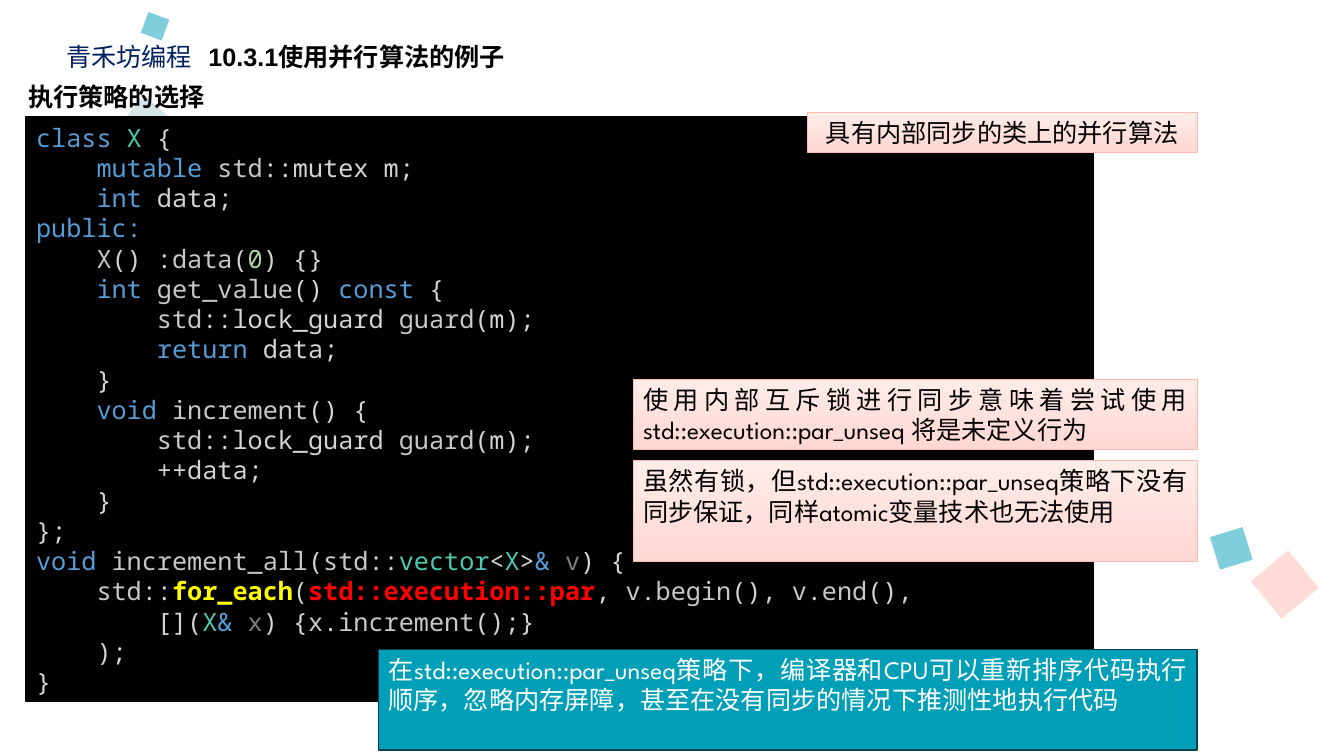
from lxml.etree import SubElement
from pptx import Presentation
from pptx.dml.color import RGBColor
from pptx.enum.shapes import MSO_SHAPE as Shape
from pptx.enum.text import MSO_ANCHOR as Anchor, MSO_AUTO_SIZE as AutoSize, PP_ALIGN as Align
from pptx.oxml.ns import qn
from pptx.util import Cm, Pt

COLORS = {
    "black": "000000", "white": "FFFFFF", "navy": "002060",
    "teal": "009FB8", "dark teal": "00404C", "mist": "AACED2",
    "pink": "FFBBB3", "pink top": "FFECE9", "pink bottom": "FFD7D3",
    "keyword": "569CD6", "type": "4EC9B0", "plain": "D4D4D4", "name": "C8C8C8",
    "number": "B5CEA8", "param": "7F7F7F", "call": "FFFF00", "policy": "FF0000",
}
BOLD_ROLES = ("call", "policy")
HAN_FONT = "Noto Sans CJK JP"

BRAND = "青禾坊编程"
TITLE = "10.3.1使用并行算法的例子"
SUBTITLE = "执行策略的选择"

# Code lines: indent level, then (text, role) spans
LOCK = (2, [("std", "name"), ("::lock_guard ", "plain"), ("guard", "name"), ("(m);", "plain")])
CODE = [
    (0, [("class ", "keyword"), ("X", "type"), (" {", "plain")]),
    (1, [("mutable ", "keyword"), ("std", "name"), ("::mutex m;", "plain")]),
    (1, [("int", "keyword"), (" data;", "plain")]),
    (0, [("public:", "keyword")]),
    (1, [("X", "name"), ("() :", "plain"), ("data", "name"), ("(", "plain"),
         ("0", "number"), (") {}", "plain")]),
    (1, [("int ", "keyword"), ("get_value", "name"), ("() ", "plain"),
         ("const", "keyword"), (" {", "plain")]),
    LOCK,
    (2, [("return", "keyword"), (" data;", "plain")]),
    (1, [("}", "plain")]),
    (1, [("void ", "keyword"), ("increment", "name"), ("() {", "plain")]),
    LOCK,
    (2, [("++data;", "plain")]),
    (1, [("}", "plain")]),
    (0, [("};", "plain")]),
    (0, [("void ", "keyword"), ("increment_all", "name"), ("(", "plain"), ("std", "name"),
         ("::", "plain"), ("vector", "type"), ("<", "plain"), ("X", "type"), (">", "plain"),
         ("& ", "keyword"), ("v", "param"), (") {", "plain")]),
    (1, [("std", "name"), ("::", "plain"), ("for_each", "call"), ("(", "plain"),
         ("std::execution::par", "policy"), (", ", "plain"), ("v", "name"), (".", "plain"),
         ("begin", "name"), ("(), ", "plain"), ("v", "name"), (".", "plain"),
         ("end", "name"), ("(),", "plain")]),
    (2, [("[](", "plain"), ("X", "type"), ("& ", "keyword"), ("x", "param"), (") {", "plain"),
         ("x", "name"), (".", "plain"), ("increment", "name"), ("();}", "plain")]),
    (1, [(");", "plain")]),
    (0, [("}", "plain")]),
]

# Notes: text, top, width, lines of height, style, alignment
NOTES = [
    ("使用内部互斥锁进行同步意味着尝试使用 std::execution::par_unseq 将是未定义行为",
     9.55, 14.22, 2, "pink", Align.JUSTIFY),
    ("虽然有锁，但std::execution::par_unseq策略下没有同步保证，同样atomic变量技术也无法使用",
     11.61, 14.22, 3, "pink", Align.JUSTIFY),
    ("在std::execution::par_unseq策略下，编译器和CPU可以重新排序代码执行顺序，"
     "忽略内存屏障，甚至在没有同步的情况下推测性地执行代码",
     16.36, 20.64, 3, "teal", Align.JUSTIFY),
    ("具有内部同步的类上的并行算法", 2.82, 9.83, 1, "pink", Align.CENTER),
]

# Decorative squares: left, top, side, rotation, colour
SQUARES = [
    (31.78, 14.12, 1.22, 320.6, "pink"),
    (30.61, 13.39, 0.86, 342.8, "teal"),
    (3.28, 2.57, 0.79, 309.8, "mist"),
    (3.63, 0.38, 0.56, 290.5, "teal"),
]
NOTE_RIGHT = 30.18
LINE, PAD = 0.762, 0.254  # line height and total vertical inset, cm


def rgb(name):
    return RGBColor.from_string(COLORS[name])


def height_of(lines):
    return Cm(lines * LINE + PAD)


def add_span(para, text, font, color, bold=False):
    span = para.add_run()
    span.text = text
    span.font.name, span.font.size, span.font.bold = font, Pt(18), bold
    span.font.color.rgb = rgb(color)
    SubElement(span._r.get_or_add_rPr(), qn("a:ea")).set("typeface", HAN_FONT)


def write(box, lines, font, align=Align.LEFT):
    frame = box.text_frame
    frame.word_wrap, frame.auto_size = True, AutoSize.NONE
    frame.vertical_anchor = Anchor.TOP
    frame.margin_left = frame.margin_right = Cm(0.25)
    frame.margin_top = frame.margin_bottom = Cm(PAD / 2)
    for index, spans in enumerate(lines):
        para = frame.add_paragraph() if index else frame.paragraphs[0]
        para.alignment, para.line_spacing = align, Pt(21.6)
        for text, color in spans:
            add_span(para, text, font, color, color in BOLD_ROLES)


def add_box(left, top, width, height, fill, line=None, weight=1):
    box = page.shapes.add_shape(Shape.RECTANGLE, left, top, width, height)
    box.shadow.inherit = False
    box.fill.solid()
    box.fill.fore_color.rgb = rgb(fill)
    if line:
        box.line.color.rgb, box.line.width = rgb(line), Pt(weight)
    else:
        box.line.fill.background()
    return box


deck = Presentation()
deck.slide_width, deck.slide_height = Cm(33.88), Cm(19.05)
page = deck.slides.add_slide(deck.slide_layouts[5])

# Half-transparent squares
for left, top, side, angle, color in SQUARES:
    square = add_box(Cm(left), Cm(top), Cm(side), Cm(side), color)
    square.rotation = angle
    tint = square.fill._xPr.find(qn("a:solidFill"))[0]
    SubElement(tint, qn("a:alpha")).set("val", "50000")

# Headings
title = page.shapes.title
title.left, title.top, title.width, title.height = Cm(5), Cm(0.91), Cm(16.92), height_of(1)
brand = page.shapes.add_textbox(Cm(1.42), Cm(0.91), Cm(3.78), height_of(1))
subtitle = page.shapes.add_textbox(Cm(0.46), Cm(1.93), Cm(16.92), height_of(1))
write(brand, [[(BRAND, "navy")]], HAN_FONT)
for box, text in ((title, TITLE), (subtitle, SUBTITLE)):
    write(box, [[(text, "black")]], "Arial")
    box.text_frame.paragraphs[0].runs[0].font.bold = True

# Code panel
panel = add_box(Cm(0.66), Cm(2.95), Cm(26.9), height_of(len(CODE)), "black", "black")
write(panel, [[(" " * 4 * level, "plain")] * (level > 0) + spans for level, spans in CODE],
      "Noto Sans Mono")

# Notes, all ending at the same right edge
for text, top, width, lines, style, align in NOTES:
    pink = style == "pink"
    note = add_box(Cm(NOTE_RIGHT - width), Cm(top), Cm(width), height_of(lines), style,
                   "pink" if pink else "dark teal", 0.5 if pink else 1)
    if pink:
        note.fill.gradient()
        note.fill.gradient_angle = 270
        for stop, color in zip(note.fill.gradient_stops, ("pink top", "pink bottom")):
            stop.color.rgb = rgb(color)
    write(note, [[(text, "black" if pink else "white")]], "League Spartan", align)

deck.save("out.pptx")
